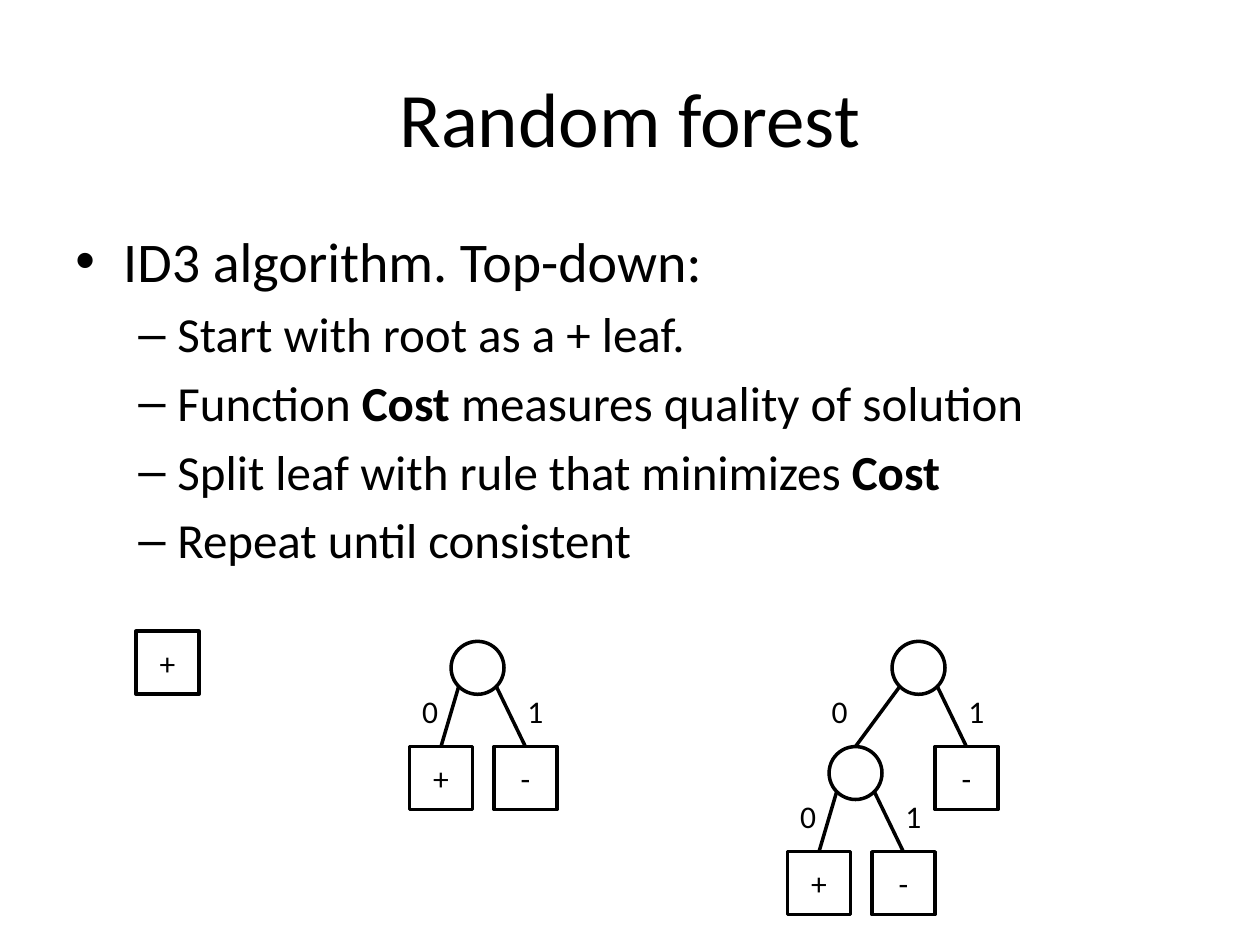
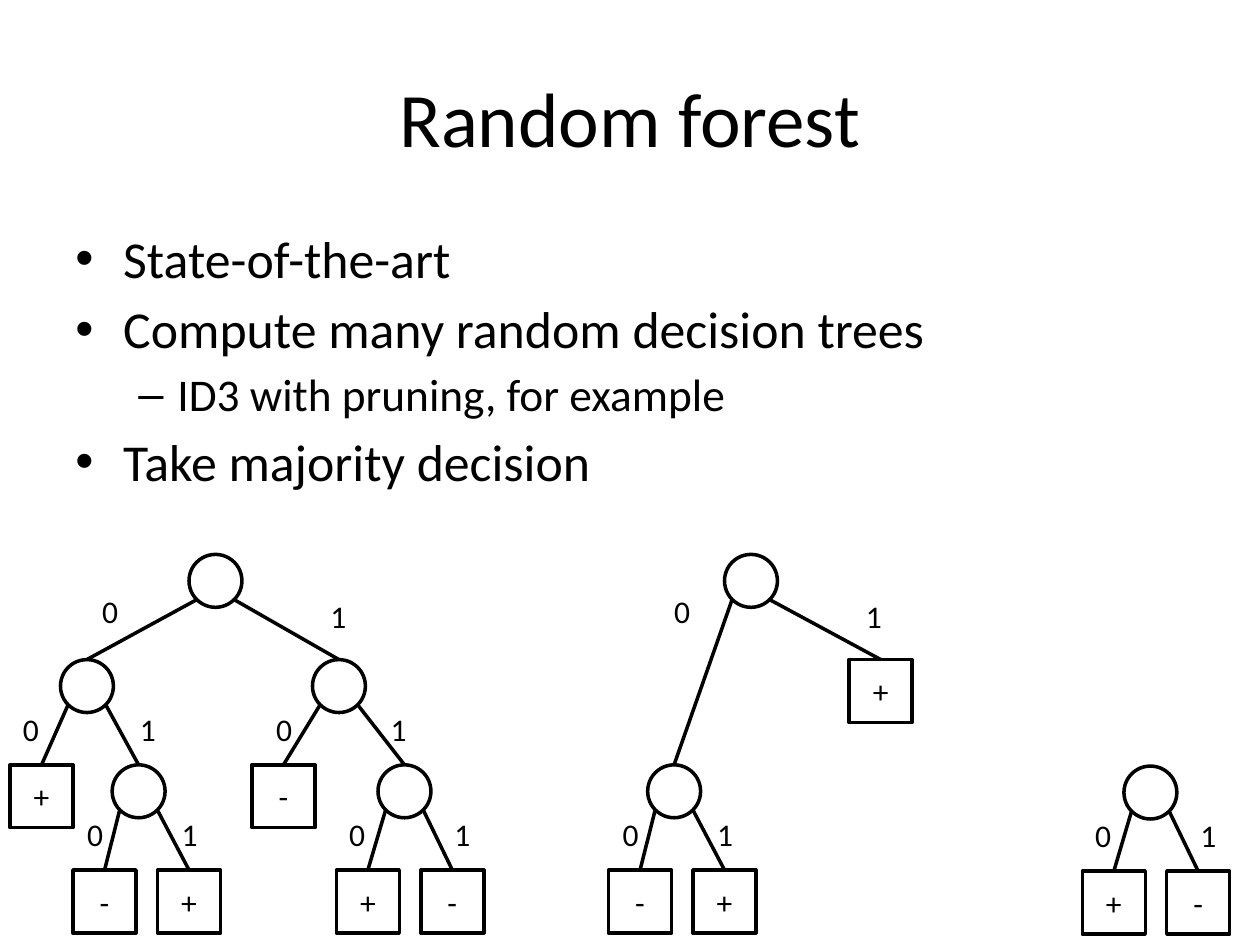
from dataclasses import dataclass

from lxml.etree import SubElement
from pptx import Presentation
from pptx.dml.color import RGBColor
from pptx.enum.shapes import MSO_CONNECTOR, MSO_SHAPE
from pptx.enum.text import MSO_ANCHOR, PP_ALIGN
from pptx.oxml.ns import qn
from pptx.util import Inches, Pt

BLACK = RGBColor(0, 0, 0)
FONT = "Calibri"
LINE_WIDTH = Pt(2)
SIGN_SIZE = 18

# Lengths below are inches
SLIDE_WIDTH, SLIDE_HEIGHT = 10, 7.5
TITLE_BOX = (0.5, 0.3, 9, 1.25)
BODY_LEFT, BODY_TOP, BODY_WIDTH = 0.5, 1.75, 9
LEVEL_ROW = 0.835  # from the top of one tree level to the next
LEAF_SIDE = 0.5
CIRCLE_SIDE = 0.42
EDGE_DX, EDGE_DY = 0.15, 0.36  # where edges leave a circle
LABEL_WIDTH, LABEL_HEIGHT = 0.33, 0.4
LABEL_DY = 0.35

# Bullet, left margin, hanging indent and share of the text size, by level
LEVELS = [("•", 0.38, 0.38, 1), ("–", 0.81, 0.31, 0.875)]


@dataclass
class Branch:
    """An edge from a circle to a leaf sign or to a further pair of branches."""
    dx: float
    child: object
    label_dx: float
    label_dy: float = LABEL_DY
    rows: int = 1


def stump(left, right):
    return Branch(-0.29, left, -0.375), Branch(0.38, right, 0.46)


def narrow_stump(left, right):
    return Branch(-0.27, left, -0.345), Branch(0.4, right, 0.405)


def style_paragraph(para, size, align=PP_ALIGN.CENTER):
    para.alignment = align
    para.font.name = FONT
    para.font.size = Pt(size)
    para.font.color.rgb = BLACK


def add_text_box(page, left, top, width, height, wrap=True):
    box = page.shapes.add_textbox(*map(Inches, (left, top, width, height)))
    box.text_frame.word_wrap = wrap
    return box.text_frame


def add_title(page, text):
    frame = add_text_box(page, *TITLE_BOX)
    frame.vertical_anchor = MSO_ANCHOR.MIDDLE
    frame.text = text
    style_paragraph(frame.paragraphs[0], 44)


def add_bullets(page, items, height, size, gap):
    """Write (level, text) items; asterisks enclose bold words, gap is a share of the size."""
    frame = add_text_box(page, BODY_LEFT, BODY_TOP, BODY_WIDTH, height)
    for index, (level, text) in enumerate(items):
        para = frame.add_paragraph() if index else frame.paragraphs[0]
        mark, margin, hanging, share = LEVELS[level]
        properties = para._p.get_or_add_pPr()
        properties.set("marL", str(Inches(margin)))
        properties.set("indent", str(-Inches(hanging)))
        SubElement(properties, qn("a:buFont"), typeface="Arial")
        SubElement(properties, qn("a:buChar"), char=mark)
        para.level = level
        para.space_before = Pt(size * share * gap if index else 0)
        style_paragraph(para, size * share, PP_ALIGN.LEFT)
        for part, words in enumerate(text.split("*")):
            if words:
                span = para.add_run()
                span.text = words
                if part % 2:
                    span.font.bold = True


def add_node(page, preset, center, top, side):
    node = page.shapes.add_shape(
        preset, *map(Inches, (center - side / 2, top, side, side)))
    node.shadow.inherit = False
    node.fill.background()
    node.line.color.rgb = BLACK
    node.line.width = LINE_WIDTH
    return node


def add_leaf(page, center, top, sign):
    leaf = add_node(page, MSO_SHAPE.RECTANGLE, center, top, LEAF_SIDE)
    frame = leaf.text_frame
    frame.vertical_anchor = MSO_ANCHOR.MIDDLE
    frame.text = sign
    style_paragraph(frame.paragraphs[0], SIGN_SIZE)
    return leaf


def add_edge(page, x, y, child):
    edge = page.shapes.add_connector(
        MSO_CONNECTOR.STRAIGHT, Inches(x), Inches(y), Inches(x), Inches(y))
    edge.end_connect(child, 0)
    edge.line.color.rgb = BLACK
    edge.line.width = LINE_WIDTH
    SubElement(edge._element.spPr, qn("a:effectLst"))


def add_edge_label(page, center, top, text):
    frame = add_text_box(page, center - LABEL_WIDTH / 2, top,
                         LABEL_WIDTH, LABEL_HEIGHT, wrap=False)
    frame.text = text
    style_paragraph(frame.paragraphs[0], SIGN_SIZE)


def add_tree(page, center, top, tree):
    """Draw a leaf sign or a pair of branches below a circle; return the top node."""
    if isinstance(tree, str):
        return add_leaf(page, center, top, tree)
    circle = add_node(page, MSO_SHAPE.OVAL, center, top, CIRCLE_SIDE)
    for side, label, branch in zip((-1, 1), "01", tree):
        child = add_tree(page, center + branch.dx,
                         top + branch.rows * LEVEL_ROW, branch.child)
        add_edge(page, center + side * EDGE_DX, top + EDGE_DY, child)
        add_edge_label(page, center + branch.label_dx, top + branch.label_dy, label)
    return circle


def add_page(deck, title, bullets, body_height, size, gap, trees):
    page = deck.slides.add_slide(deck.slide_layouts[6])
    add_title(page, title)
    add_bullets(page, bullets, body_height, size, gap)
    for center, top, tree in trees:
        add_tree(page, center, top, tree)


ID3_STEPS = [
    (0, "ID3 algorithm. Top-down:"),
    (1, "Start with root as a + leaf."),
    (1, "Function *Cost* measures quality of solution"),
    (1, "Split leaf with rule that minimizes *Cost*"),
    (1, "Repeat until consistent"),
]
GROWING_TREES = [
    (1.33, 5.01, "+"),
    (3.79, 5.09, stump("+", "-")),
    (7.29, 5.09, (Branch(-0.5, stump("+", "-"), -0.625), Branch(0.38, "-", 0.46))),
]

FOREST_POINTS = [
    (0, "State-of-the-art"),
    (0, "Compute many random decision trees"),
    (1, "ID3 with pruning, for example"),
    (0, "Take majority decision"),
]
FULL_TREE = (
    Branch(-1.02, (Branch(-0.36, "+", -0.445),
                   Branch(0.41, narrow_stump("-", "+"), 0.485)), -0.835, 0.25),
    Branch(0.98, (Branch(-0.44, "-", -0.435),
                  Branch(0.52, stump("+", "-"), 0.475)), 0.975, 0.29),
)
PRUNED_TREE = (
    Branch(-0.61, narrow_stump("-", "+"), -0.545, 0.25, rows=2),
    Branch(1.03, "+", 0.975, 0.29),
)
FOREST = [
    (1.71, 4.4, FULL_TREE),
    (5.96, 4.4, PRUNED_TREE),
    (9.13, 6.08, stump("+", "-")),
]


def main():
    deck = Presentation()
    deck.slide_width = Inches(SLIDE_WIDTH)
    deck.slide_height = Inches(SLIDE_HEIGHT)
    add_page(deck, "Random forest", ID3_STEPS, 4.95, 32, 0.2, GROWING_TREES)
    add_page(deck, "Random forest", FOREST_POINTS, 2.25, 29.6, 0.16, FOREST)
    deck.save("out.pptx")


if __name__ == "__main__":
    main()
